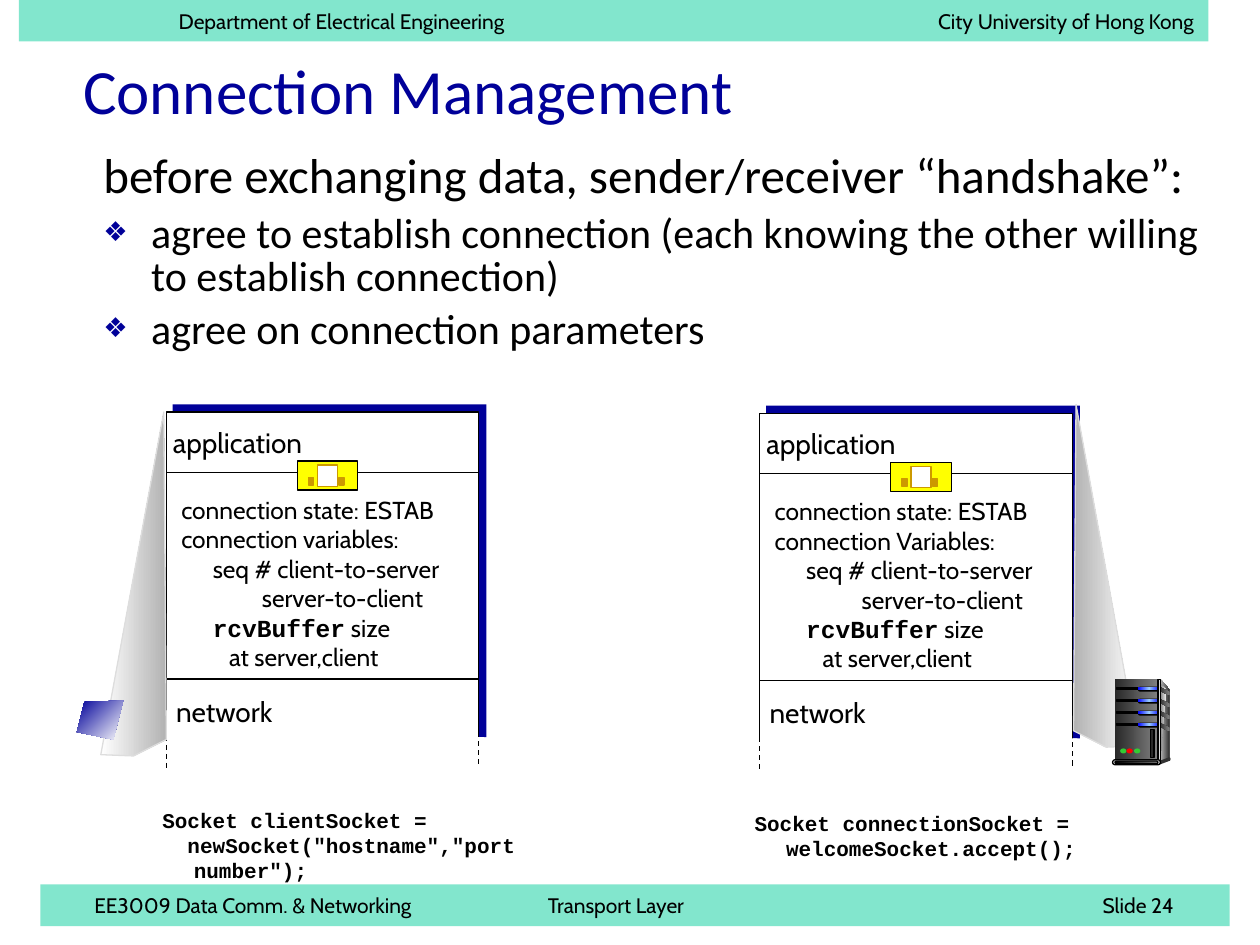
from lxml.etree import SubElement
from pptx import Presentation
from pptx.dml.color import RGBColor
from pptx.enum.dml import MSO_LINE
from pptx.enum.shapes import MSO_CONNECTOR, MSO_SHAPE
from pptx.enum.text import MSO_ANCHOR, MSO_AUTO_SIZE, PP_ALIGN
from pptx.oxml.ns import qn
from pptx.util import Inches, Pt

BLACK = RGBColor(0x00, 0x00, 0x00)
WHITE = RGBColor(0xFF, 0xFF, 0xFF)
NAVY = RGBColor(0x00, 0x00, 0x99)
TEAL = RGBColor(0x00, 0xCC, 0x99)
YELLOW = RGBColor(0xFF, 0xFF, 0x00)
GOLD = RGBColor(0xCC, 0x99, 0x00)
BLUE = RGBColor(0x00, 0x00, 0xFF)
SKY = RGBColor(0x99, 0xCC, 0xFF)
GREEN = RGBColor(0x33, 0xCC, 0x33)
RED = RGBColor(0xFF, 0x00, 0x00)
COAL = RGBColor(0x29, 0x29, 0x29)
DARK = RGBColor(0x33, 0x33, 0x33)
GRAY = RGBColor(0x80, 0x80, 0x80)
SILVER = RGBColor(0xB2, 0xB2, 0xB2)
PALE = RGBColor(0xDD, 0xDD, 0xDD)
FROST = RGBColor(0xF8, 0xF8, 0xF8)
RECT, ROUND, OVAL = MSO_SHAPE.RECTANGLE, MSO_SHAPE.ROUNDED_RECTANGLE, MSO_SHAPE.OVAL

TITLE = "Connection Management"
LEAD = "before exchanging data, sender/receiver “handshake”:"
BULLETS = [
    "agree to establish connection (each knowing the other willing to establish connection)",
    "agree on connection parameters",
]
BARS = [
    (0.15, 0, "\tDepartment of Electrical Engineering\tCity University of Hong Kong",
     [(1.17, "l"), (9.23, "r")]),
    (0.32, 7.02, "\tEE3009 Data Comm. & Networking\tTransport Layer\tSlide 24",
     [(0.33, "l"), (3.93, "l"), (8.9, "r")]),
]
HOSTS = [
    dict(left=1.32, top=3.27, variables="connection variables:", indent=0.64,
         wedge=[(0.8, 5.99), (1.3, 3.27), (1.32, 5.87), (1.06, 6)],
         wedge_fill=(WHITE, SILVER),
         code=["Socket clientSocket =", '  newSocket("hostname","port number");'],
         code_box=(1.19, 6.36, 3.16, 0.7)),
    dict(left=6.03, top=3.28, variables="connection Variables:", indent=0.69,
         wedge=[(9.03, 5.92), (8.54, 3.21), (8.52, 5.8), (8.78, 5.93)],
         wedge_fill=(SILVER, WHITE),
         code=["Socket connectionSocket = welcomeSocket.accept();"],
         code_box=(5.89, 6.38, 3.16, 0.5)),
]
SCREEN = [(0.98, 5.56), (0.67, 5.57), (0.61, 5.81), (0.9, 5.87)]
CABINET_SIDE = [(9.21, 5.39), (9.28, 5.47), (9.28, 6.01), (9.19, 6.04)]
CABINET_EDGE = [(9.21, 5.43), (9.26, 5.48), (9.23, 5.75), (9.21, 6.02)]
CABINET_FOOT = [(9.2, 6.04), (9.2, 6.07), (9.28, 6.04), (9.28, 6.01)]
LIGHTS = [(8.89, GREEN), (8.94, RED), (9, GREEN)]
BAY_TOP, BAY_STEP, BAY_COUNT = 5.45, 0.095, 4


def style(shape, fill, line=None, angle=0):
    shape.shadow.inherit = False
    if isinstance(fill, RGBColor):
        shape.fill.solid()
        shape.fill.fore_color.rgb = fill
    else:
        shape.fill.gradient()
        shape.fill.gradient_angle = angle
        stops = shape._element.spPr.find(qn("a:gradFill")).find(qn("a:gsLst"))
        for stop in list(stops):
            stops.remove(stop)
        for index, color in enumerate(fill):
            position = round(100000 * index / (len(fill) - 1))
            stop = SubElement(stops, qn("a:gs"), pos=str(position))
            SubElement(stop, qn("a:srgbClr"), val=str(color))
    if line is None:
        shape.line.fill.background()
    else:
        shape.line.color.rgb = line
        shape.line.width = Pt(0.75)
    return shape


def draw(shapes, kind, place, fill, line=None):
    shape = shapes.add_shape(kind, *map(Inches, place))
    if kind == ROUND:
        shape.adjustments[0] = 0.5
    return style(shape, fill, line)


def outline(shapes, points, fill, line=None, angle=0):
    corners = [(Inches(x), Inches(y)) for x, y in points]
    builder = shapes.build_freeform(*corners[0], scale=1.0)
    builder.add_line_segments(corners[1:], close=True)
    return style(builder.convert_to_shape(), fill, line, angle)


def rule(shapes, start, end, dash=None):
    line = shapes.add_connector(MSO_CONNECTOR.STRAIGHT, *map(Inches, start + end))
    line.line.color.rgb = BLACK
    line.line.width = Pt(0.75)
    if dash:
        line.line.dash_style = dash
    SubElement(line._element.spPr, qn("a:effectLst"))


def write(para, text, size, name="Cabin", color=BLACK, bold=False):
    span = para.add_run()
    span.text = text
    for key, value in dict(size=Pt(size), name=name, bold=bold).items():
        setattr(span.font, key, value)
    span.font.color.rgb = color


def indent(para, margin, first=0):
    properties = para._p.get_or_add_pPr()
    properties.set("marL", str(Inches(margin)))
    properties.set("indent", str(Inches(first)))
    return properties


def text_frame(shapes, place, wrap=True):
    frame = shapes.add_textbox(*map(Inches, place)).text_frame
    frame.word_wrap = wrap
    return frame


def next_para(frame, index):
    return frame.add_paragraph() if index else frame.paragraphs[0]


def add_bar(shapes, left, top, text, tabs):
    bar = draw(shapes, RECT, (left, top, 9.44, 0.33), TEAL)
    color = bar._element.spPr.find(qn("a:solidFill"))[0]
    SubElement(color, qn("a:alpha"), val="49000")
    frame = bar.text_frame
    frame.vertical_anchor = MSO_ANCHOR.MIDDLE
    para = frame.paragraphs[0]
    para.alignment = PP_ALIGN.LEFT
    tab_list = SubElement(para._p.get_or_add_pPr(), qn("a:tabLst"))
    for position, side in tabs:
        SubElement(tab_list, qn("a:tab"), pos=str(Inches(position)), algn=side)
    write(para, text, 12)


def add_heading(page):
    for box, place in zip(page.placeholders, [(0.56, 0.21, 8.5, 1), (0.72, 1.17, 9.12, 2.39)]):
        box.left, box.top, box.width, box.height = map(Inches, place)
        box.text_frame.auto_size = MSO_AUTO_SIZE.NONE
    title, body = [box.text_frame for box in page.placeholders]
    title.vertical_anchor = MSO_ANCHOR.MIDDLE
    title.paragraphs[0].alignment = PP_ALIGN.LEFT
    write(title.paragraphs[0], TITLE, 36, "Calibri", NAVY)
    for index, text in enumerate([LEAD] + BULLETS):
        para = next_para(body, index)
        para.line_spacing = 0.85
        para.space_before = Pt(6 if index else 0)
        properties = indent(para, 0.38, -0.38)
        if index:
            color = SubElement(properties, qn("a:buClr"))
            SubElement(color, qn("a:srgbClr"), val=str(NAVY))
            SubElement(properties, qn("a:buSzPct"), val="65000")
            SubElement(properties, qn("a:buChar"), char="❖")
        else:
            SubElement(properties, qn("a:buNone"))
        write(para, text, 24 if index else 28, "Calibri")


def add_host(shapes, host):
    left, top = host["left"], host["top"]
    right = left + 2.48
    draw(shapes, RECT, (left + 0.05, top - 0.06, 2.49, 2.64), NAVY)
    draw(shapes, RECT, (left, top, 2.48, 2.7), WHITE, BLACK)
    for drop in (0.48, 2.12):
        rule(shapes, (left, top + drop), (right, top + drop))
    frame = text_frame(shapes, (left + 0.02, top + 0.61, 2.55, 1.74))
    lines = [(0, "connection state: ESTAB"), (0, host["variables"]),
             (0.25, "seq # client-to-server"), (host["indent"], "server-to-client"),
             (0.25, " size"), (0.38, "at server,client")]
    for index, (margin, text) in enumerate(lines):
        para = next_para(frame, index)
        indent(para, margin)
        if text == " size":
            write(para, "rcvBuffer", 14, "Courier New", bold=True)
        write(para, text, 14)
    socket = shapes.add_group_shape().shapes
    draw(socket, RECT, (left + 1.04, top + 0.39, 0.48, 0.23), YELLOW, BLACK)
    draw(socket, RECT, (left + 1.2, top + 0.42, 0.16, 0.17), WHITE, GOLD)
    for shift in (1.13, 1.37):
        draw(socket, RECT, (left + shift, top + 0.52, 0.04, 0.06), GOLD, GOLD)
    for text, shift, drop, width in [("application", -0.11, 0.06, 1.35),
                                     ("network", -0.07, 2.19, 1.06)]:
        para = text_frame(shapes, (left + shift, top + drop, width, 0.37), False).paragraphs[0]
        para.alignment = PP_ALIGN.CENTER
        write(para, text, 16)
    draw(shapes, RECT, (left - 0.03, top + 2.58, 2.55, 0.2), WHITE)
    for x, drop in [(left, 2.57), (right, 2.54)]:
        rule(shapes, (x, top + drop), (x, top + drop + 0.26), MSO_LINE.DASH)
    outline(shapes, host["wedge"], host["wedge_fill"], PALE)
    code = text_frame(shapes, host["code_box"])
    for index, text in enumerate(host["code"]):
        para = next_para(code, index)
        indent(para, 0.25, -0.25)
        write(para, text, 12, "Courier New", bold=True)


def add_server(shapes):
    outline(shapes, CABINET_SIDE, (PALE, DARK))
    draw(shapes, RECT, (8.85, 5.39, 0.34, 0.65), (COAL, GRAY))
    outline(shapes, CABINET_EDGE, (GRAY, FROST))
    for bay in range(BAY_COUNT):
        top = BAY_TOP + bay * BAY_STEP
        draw(shapes, RECT, (8.86, top + 0.01, 0.19, 0.01), BLACK, BLACK)
        draw(shapes, ROUND, (9.03, top, 0.19, 0.04), BLACK)
        draw(shapes, ROUND, (9.03, top, 0.18, 0.03), (BLUE, SKY, BLUE))
        vent = [(9.2, top), (9.28, top + 0.04), (9.28, top + 0.07), (9.2, top + 0.03)]
        outline(shapes, vent, (COAL, GRAY))
    draw(shapes, RECT, (9.19, 5.39, 0.02, 0.65), (DARK, PALE, DARK), BLACK)
    draw(shapes, OVAL, (9.27, 6.01, 0.02, 0.03), DARK)
    outline(shapes, CABINET_FOOT, DARK)
    draw(shapes, ROUND, (8.83, 6.03, 0.38, 0.04), PALE, BLACK)
    draw(shapes, ROUND, (8.85, 6.04, 0.34, 0.02), (BLACK, GRAY), BLACK)
    for left, color in LIGHTS:
        draw(shapes, OVAL, (left, 5.94, 0.05, 0.04), color)
    draw(shapes, RECT, (9.13, 5.79, 0.03, 0.22), COAL, BLACK)


def main():
    deck = Presentation()
    deck.slide_width, deck.slide_height = Inches(10), Inches(7.5)
    page = deck.slides.add_slide(deck.slide_layouts[1])
    add_heading(page)
    for bar in BARS:
        add_bar(page.shapes, *bar)
    for host in HOSTS:
        add_host(page.shapes, host)
    outline(page.shapes, SCREEN, (NAVY, WHITE), angle=315)
    add_server(page.shapes.add_group_shape().shapes)
    deck.save("out.pptx")


if __name__ == "__main__":
    main()
